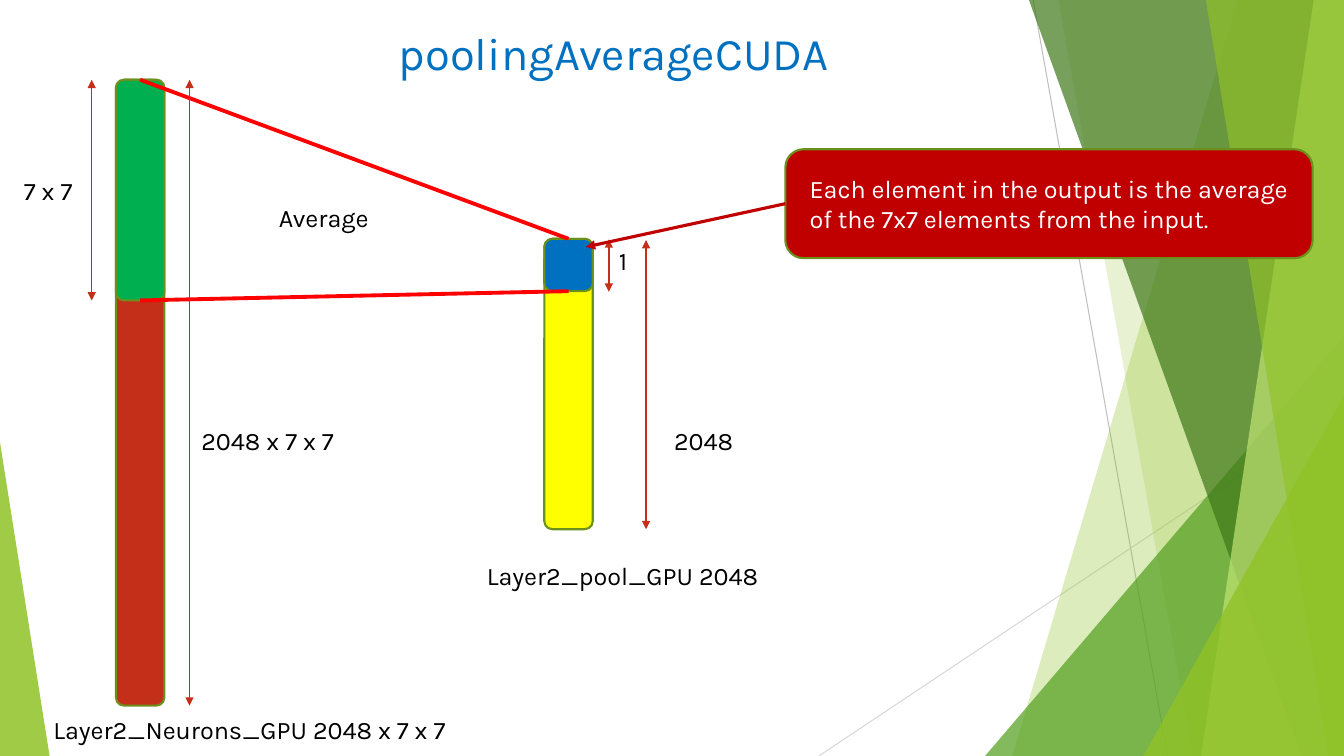
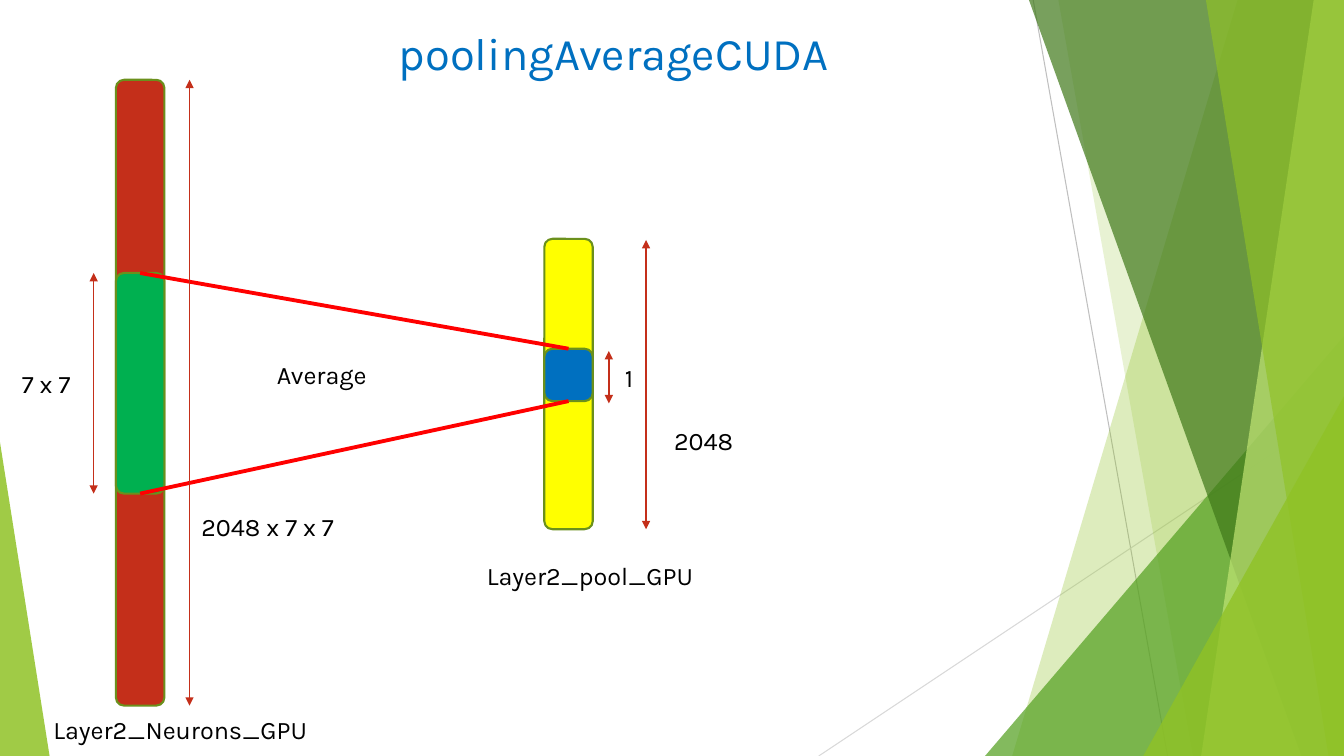
from dataclasses import dataclass

from lxml.etree import SubElement
from pptx import Presentation
from pptx.dml.color import RGBColor
from pptx.enum.shapes import MSO_CONNECTOR as Connector, MSO_SHAPE as Preset
from pptx.enum.text import MSO_ANCHOR as Anchor, MSO_AUTO_SIZE as AutoSize, PP_ALIGN as Align
from pptx.oxml.ns import qn
from pptx.util import Pt

WIDTH, HEIGHT = 960, 540
FONT = "Karla"
LABEL_SIZE, LABEL_HEIGHT = 18, 28.8
COLORS = {
    "title": "0070C0", "text": "000000", "white": "FFFFFF",
    "input": "C42F1A", "window": "00B050", "output": "FFFF00", "cell": "0070C0",
    "outline": "6B901C", "projection": "FF0000", "dimension": "C42F1A", "callout": "C00000",
    "lime": "90C226", "green": "54A021", "forest": "3F7819", "pale": "C0E474",
    "gray": "BFBFBF", "light gray": "D9D9D9",
}


@dataclass
class Box:
    left: float
    top: float
    width: float
    height: float

    @property
    def right(self):
        return self.left + self.width

    @property
    def bottom(self):
        return self.top + self.height

    @property
    def center(self):
        return self.left + self.width / 2

    @property
    def middle(self):
        return self.top + self.height / 2

    def section(self, offset, height):
        """Full-width section of this box, starting offset points below its upper edge."""
        return Box(self.left, self.top + offset, self.width, height)

    def points(self):
        return [Pt(value) for value in (self.left, self.top, self.width, self.height)]


INPUT_BAR = Box(82.8, 57, 34.6, 447)
OUTPUT_BAR = Box(388.8, 170.6, 34.6, 207.4)
CALLOUT = Box(561, 106.6, 376.6, 77.8)
WINDOW_HEIGHT, CELL_HEIGHT = 157.6, 37.4


def color(name):
    return RGBColor.from_string(COLORS[name])


def style_text(para, size, color_name):
    for span in para.runs:
        span.font.name = FONT
        span.font.size = Pt(size)
        span.font.color.rgb = color(color_name)


def add_label(page, text, left, top, width):
    box = page.shapes.add_textbox(*Box(left, top, width, LABEL_HEIGHT).points())
    box.text_frame.word_wrap = True
    box.text_frame.text = text
    style_text(box.text_frame.paragraphs[0], LABEL_SIZE, "text")


def add_line(page, start, end, color_name, weight, arrows=()):
    """Straight line; arrows may hold "headEnd" (at start) and "tailEnd" (at end)."""
    line = page.shapes.add_connector(Connector.STRAIGHT, *map(Pt, start + end))
    line.line.color.rgb = color(color_name)
    line.line.width = Pt(weight)
    outline = line.element.spPr.find(qn("a:ln"))
    for arrow in arrows:
        SubElement(outline, qn("a:" + arrow), type="triangle")
    SubElement(line.element.spPr, qn("a:effectLst"))
    return line


def add_dimension(page, x, top, bottom):
    add_line(page, (x, bottom), (x, top), "dimension", 1, ("headEnd", "tailEnd"))


def add_block(page, box, color_name):
    block = page.shapes.add_shape(Preset.ROUNDED_RECTANGLE, *box.points())
    block.shadow.inherit = False
    block.fill.solid()
    block.fill.fore_color.rgb = color(color_name)
    block.line.color.rgb = color("outline")
    block.line.width = Pt(1.5)
    return block


def tint(facet, color_name, opacity):
    facet.shadow.inherit = False
    facet.line.fill.background()
    facet.fill.solid()
    facet.fill.fore_color.rgb = color(color_name)
    shade = facet.element.spPr.find(qn("a:solidFill"))[0]
    SubElement(shade, qn("a:alpha"), val=str(opacity * 1000))
    return facet


def add_facet(page, top_left, bottom_left, color_name, opacity):
    """Sheet from a slanted left edge to the right side of the slide."""
    builder = page.shapes.build_freeform(Pt(top_left), 0, scale=1.0)
    corners = [(WIDTH, 0), (WIDTH, HEIGHT), (bottom_left, HEIGHT)]
    builder.add_line_segments([(Pt(x), Pt(y)) for x, y in corners], close=True)
    return tint(builder.convert_to_shape(), color_name, opacity)


def add_corner(page, left, top, width, apex, color_name, opacity):
    box = Box(left, top, width, HEIGHT - top)
    corner = page.shapes.add_shape(Preset.ISOSCELES_TRIANGLE, *box.points())
    corner.adjustments[0] = apex
    return tint(corner, color_name, opacity)


def decorate_layout(layout, page):
    """Draw the facets on the page and move them to the layout, behind its title."""
    facets = [
        add_line(page, (738, 0), (834, HEIGHT), "gray", 0.75),
        add_line(page, (WIDTH, 290), (584.8, HEIGHT), "light gray", 0.75),
        add_facet(page, 884, 723, "lime", 30),
        add_facet(page, 756, 852, "lime", 20),
        add_corner(page, 703.6, 240, 256.4, 1, "green", 72),
        add_facet(page, 735, 929.6, "forest", 70),
        add_facet(page, 938.4, 858, "pale", 70),
        add_facet(page, 861.4, 949, "lime", 65),
        add_corner(page, 816.6, 283, 143.4, 1, "lime", 80),
        add_corner(page, 0, 316, 35.4, 0, "lime", 85),
    ]
    for index, facet in enumerate(facets, start=2):
        layout.shapes.element.insert(index, facet.element)


def place_layout_title(layout):
    for holder in layout.placeholders:
        if holder.placeholder_format.idx == 0:
            holder.left, holder.top, holder.width, holder.height = Box(100, 12, 677, 60).points()
            frame = holder.text_frame
            frame.vertical_anchor = Anchor.TOP
            frame.margin_top = Pt(6)
            frame.auto_size = AutoSize.NONE


def add_title(page, text):
    frame = page.shapes.title.text_frame
    frame.text = text
    frame.auto_size = AutoSize.NONE
    para = frame.paragraphs[0]
    para.alignment = Align.CENTER
    style_text(para, 32.4, "title")


def draw_blocks(page, bar, segment, bar_color, segment_color):
    add_block(page, bar, bar_color)
    add_block(page, segment, segment_color)


def draw_projection(page, window, cell):
    for start_y, end_y in ((window.top, cell.top), (window.bottom, cell.bottom)):
        add_line(page, (window.center, start_y), (cell.center, end_y), "projection", 2.75)


def draw_input_notes(page, bar, window, shift, size_top, caption):
    add_dimension(page, bar.left - 17.3 + shift, window.top, window.bottom)
    add_label(page, "7 x 7", bar.left - 72.8 - shift, window.middle - LABEL_HEIGHT / 2, 85)
    add_dimension(page, bar.right + 18, bar.top, bar.bottom)
    add_label(page, "2048 x 7 x 7", bar.right + 19.4, bar.top + size_top, 125)
    add_label(page, caption, bar.left - 51.8, bar.bottom + 2.9, 392)


def draw_output_notes(page, bar, cell, cell_drop, one_offset, caption):
    add_dimension(page, bar.right + 11.5, cell.top + cell_drop, cell.bottom + cell_drop)
    add_dimension(page, bar.right + 38.1, bar.top + 0.8, bar.bottom)
    one_x, one_y = one_offset
    add_label(page, "1", bar.right + one_x, cell.top + one_y, 27)
    add_label(page, "2048", bar.right + 51, bar.top + 129.6, 76)
    add_label(page, caption, bar.left - 48.2, bar.bottom + 18.7, 220)


def draw_callout(page, box, target, text):
    block = add_block(page, box, "callout")
    frame = block.text_frame
    frame.word_wrap = True
    frame.vertical_anchor = Anchor.MIDDLE
    frame.margin_left, frame.margin_right = Pt(13.5), Pt(3.4)
    frame.text = text
    frame.paragraphs[0].alignment = Align.LEFT
    style_text(frame.paragraphs[0], LABEL_SIZE, "white")
    add_line(page, (box.left, box.middle), target, "callout", 2.25, ("tailEnd",))


def draw_pooling(page, window, cell, average, input_notes, output_notes):
    add_title(page, "poolingAverageCUDA")
    draw_blocks(page, INPUT_BAR, window, "input", "window")
    draw_blocks(page, OUTPUT_BAR, cell, "output", "cell")
    draw_projection(page, window, cell)
    draw_input_notes(page, INPUT_BAR, window, *input_notes)
    draw_output_notes(page, OUTPUT_BAR, cell, *output_notes)
    add_label(page, "Average", *average, 125)


def main():
    deck = Presentation()
    deck.slide_width, deck.slide_height = Pt(WIDTH), Pt(HEIGHT)
    layout = deck.slide_layouts[5]
    place_layout_title(layout)
    first, second = [deck.slides.add_slide(layout) for _ in range(2)]
    decorate_layout(layout, first)

    cell = OUTPUT_BAR.section(0, CELL_HEIGHT)
    draw_pooling(
        first, INPUT_BAR.section(0, WINDOW_HEIGHT), cell, (192.2, 141),
        (0, 243.2, "Layer2_Neurons_GPU 2048 x 7 x 7"),
        (0.4, (11.5, 0.8), "Layer2_pool_GPU 2048"),
    )
    draw_callout(
        first, CALLOUT, (cell.right - 5, cell.top + 5.8),
        "Each element in the output is the average of the 7x7 elements from the input.",
    )
    draw_pooling(
        second, INPUT_BAR.section(138, WINDOW_HEIGHT), OUTPUT_BAR.section(78.5, CELL_HEIGHT),
        (190.8, 253.4),
        (1.4, 304.4, "Layer2_Neurons_GPU"),
        (1.6, (15.8, 6.5), "Layer2_pool_GPU"),
    )
    deck.save("out.pptx")


if __name__ == "__main__":
    main()
